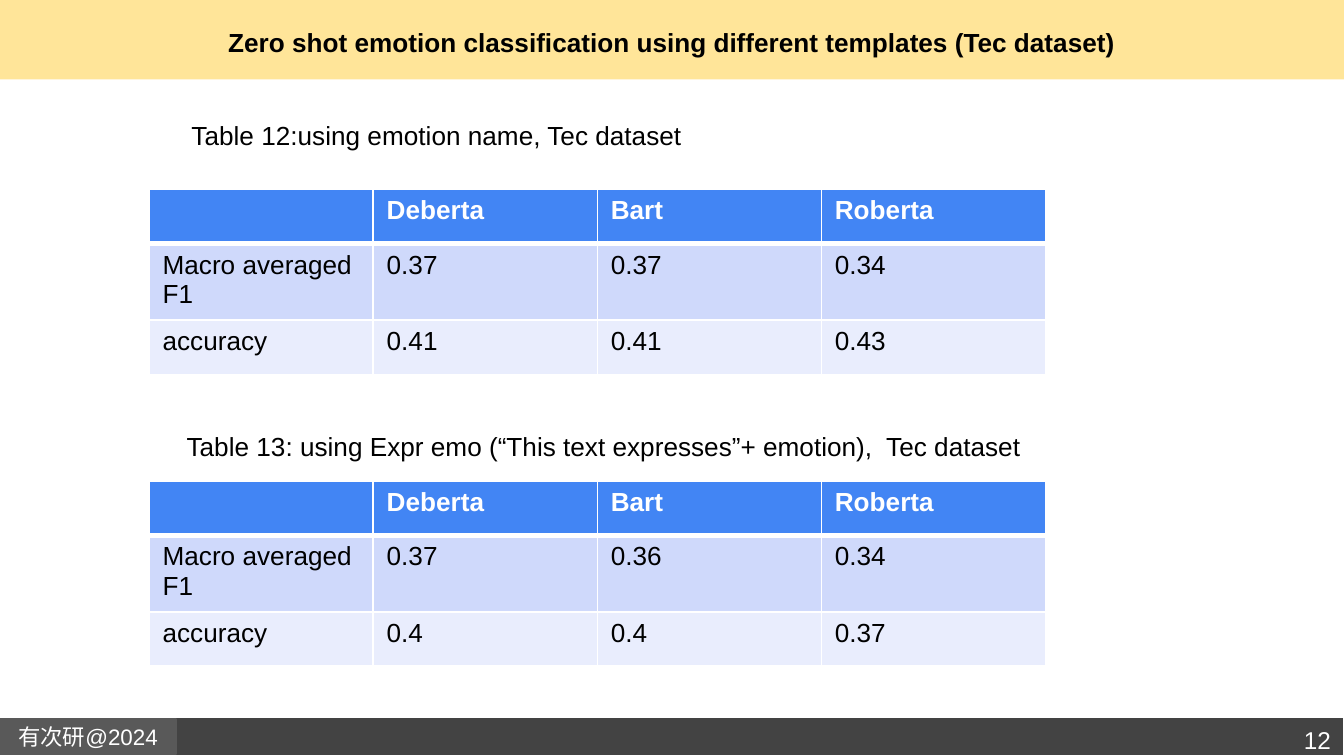
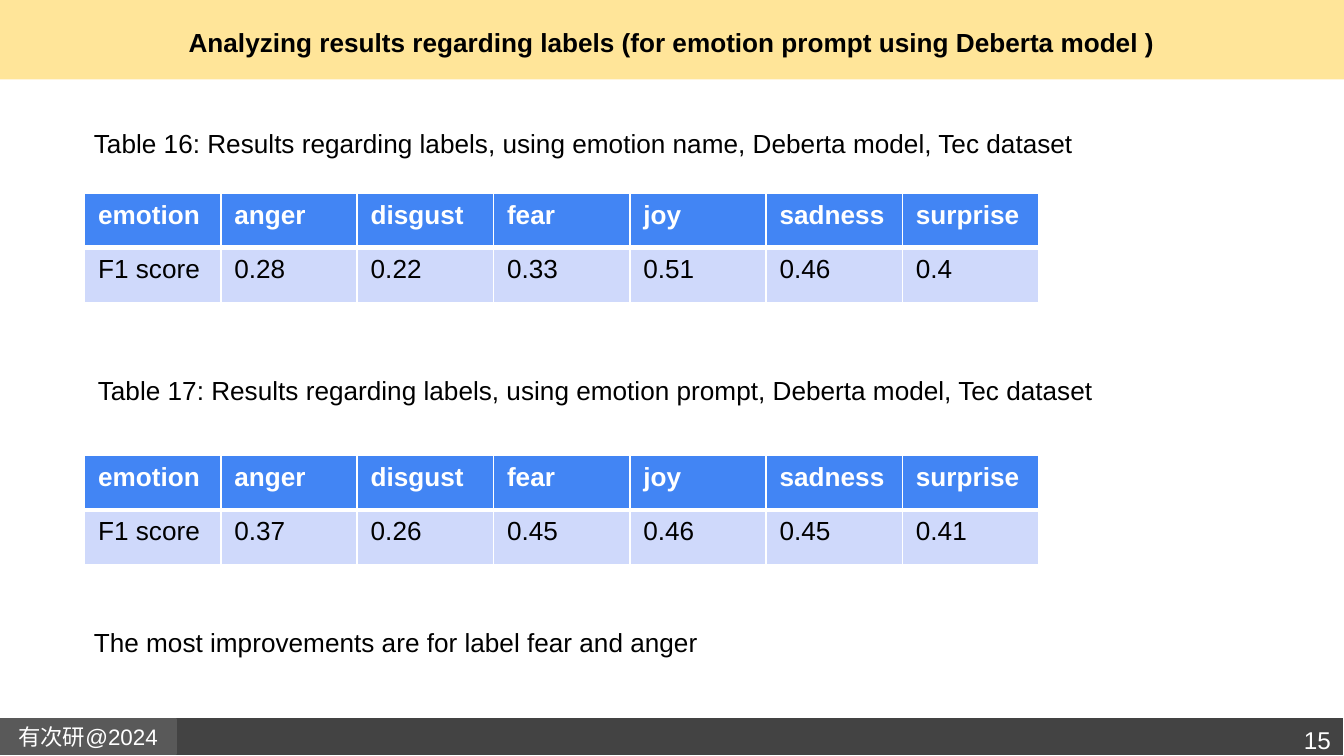
from dataclasses import dataclass

from lxml.etree import SubElement
from pptx import Presentation
from pptx.dml.color import RGBColor
from pptx.enum.shapes import MSO_SHAPE as Preset
from pptx.enum.text import MSO_ANCHOR as Anchor
from pptx.enum.text import MSO_AUTO_SIZE as AutoSize
from pptx.enum.text import PP_ALIGN as Align
from pptx.oxml.ns import qn
from pptx.shapes.shapetree import SlideShapes
from pptx.util import Inches, Pt


@dataclass(frozen=True)
class Theme:
    font: str = "Arial"
    title_band: str = "FFE599"
    footer_band: str = "434343"
    footer_tab: str = "595959"
    header: str = "4285F4"
    stripes: tuple = ("CFD9FB", "E9EDFD")
    dark: str = "000000"
    light: str = "FFFFFF"
    text_size: float = 14
    number_size: float = 13
    tab_size: float = 12
    thin: float = 1
    thick: float = 3


THEME = Theme()
PAGE_WIDTH = Inches(10)
PAGE_HEIGHT = PAGE_WIDTH * 9 // 16
ROW_HEIGHT = 0.81 / 2
MODELS = ["", "Deberta", "Bart", "Roberta"]
EMOTIONS = ["emotion", "anger", "disgust", "fear", "joy", "sadness", "surprise"]


def inches(box):
    return [Inches(value) for value in box]


def set_all(target, formats):
    for name, value in formats.items():
        setattr(target, name, value)


def write(frame, text, size=THEME.text_size, color=THEME.dark, bold=False, align=None):
    para = frame.paragraphs[0]
    para.alignment = align
    span = para.add_run()
    span.text = text
    set_all(span.font, {"name": THEME.font, "size": Pt(size), "bold": bold})
    span.font.color.rgb = RGBColor.from_string(color)


def pad(frame, **formats):
    """Give a text frame equal insets and any further formats."""
    sides = ("left", "top", "right", "bottom")
    set_all(frame, {f"margin_{side}": Inches(0.1) for side in sides} | formats)


def add_band(shapes, box, fill, line=None):
    band = shapes.add_shape(Preset.RECTANGLE, *inches(box))
    band.shadow.inherit = False
    band.fill.solid()
    band.fill.fore_color.rgb = RGBColor.from_string(fill)
    if line:
        band.line.color.rgb = RGBColor.from_string(line)
        band.line.width = Pt(0.75)
    else:
        band.line.fill.background()
    return band


def prepare_layout(layout):
    """Replace the layout's footer placeholders with the shared bands."""
    for holder in list(layout.placeholders)[1:]:
        layout.shapes.element.remove(holder.element)
    shapes = SlideShapes(layout.shapes.element, layout)
    add_band(shapes, (0, 0, 10, 0.59), THEME.title_band)
    add_band(shapes, (0, 5.34, 10, 0.28), THEME.footer_band, THEME.light)
    tab = add_band(shapes, (0, 5.35, 1.31, 0.26), THEME.footer_tab, THEME.footer_tab)
    pad(tab.text_frame, vertical_anchor=Anchor.MIDDLE)
    write(tab.text_frame, "有次研@2024", THEME.tab_size, THEME.light, align=Align.CENTER)


def add_page(deck, layout, title, number):
    page = deck.slides.add_slide(layout)
    heading = page.shapes.title
    set_all(heading, dict(zip(("left", "top", "width", "height"),
                              inches((0.34, 0, 9.32, 0.63)))))
    pad(heading.text_frame, vertical_anchor=Anchor.MIDDLE, word_wrap=True,
        auto_size=AutoSize.NONE)
    write(heading.text_frame, title, bold=True, align=Align.CENTER)

    page_number = page.shapes.add_textbox(*inches((8.95, 5.3, 1.05, 0.37)))
    pad(page_number.text_frame, word_wrap=True)
    write(page_number.text_frame, str(number), THEME.number_size, THEME.light,
          align=Align.RIGHT)
    return page


def add_caption(page, box, text, wrap=False, align=Align.LEFT):
    frame = page.shapes.add_textbox(*inches(box)).text_frame
    set_all(frame, {"word_wrap": wrap, "auto_size": AutoSize.SHAPE_TO_FIT_TEXT})
    write(frame, text, align=align)


def add_borders(cell, bottom):
    """Draw white cell borders; call before the fill, which must follow them."""
    properties = cell._tc.get_or_add_tcPr()
    widths = {"L": THEME.thin, "R": THEME.thin, "T": THEME.thin, "B": bottom}
    for side, width in widths.items():
        line = SubElement(properties, qn(f"a:ln{side}"), w=str(Pt(width)))
        fill = SubElement(line, qn("a:solidFill"))
        SubElement(fill, qn("a:srgbClr"), val=THEME.light)


def add_results(page, box, rows):
    """Place a table with a header row at box = (left, top, width)."""
    left, top, width = box
    area = inches((left, top, width, ROW_HEIGHT * len(rows)))
    table = page.shapes.add_table(len(rows), len(rows[0]), *area).table
    for column in table.columns:
        column.width = Inches(width / len(rows[0]))
    for r, values in enumerate(rows):
        table.rows[r].height = Inches(ROW_HEIGHT)
        is_header = r == 0
        fill = THEME.header if is_header else THEME.stripes[(r - 1) % 2]
        for c, value in enumerate(values):
            cell = table.cell(r, c)
            add_borders(cell, THEME.thick if is_header else THEME.thin)
            cell.fill.solid()
            cell.fill.fore_color.rgb = RGBColor.from_string(fill)
            if value:
                write(cell.text_frame, value, bold=is_header,
                      color=THEME.light if is_header else THEME.dark)


def add_template_page(deck, layout):
    page = add_page(
        deck, layout,
        "Zero shot emotion classification using different templates (Tec dataset)", 12)
    add_caption(page, (1, 0.84, 4.5, 0.57), "Table 12:using emotion name, Tec dataset",
                wrap=True, align=Align.CENTER)
    add_results(page, (1.11, 1.41, 6.67), [
        MODELS,
        ["Macro averaged F1", "0.37", "0.37", "0.34"],
        ["accuracy", "0.41", "0.41", "0.43"],
    ])
    add_caption(page, (1.29, 3.15, 6.54, 0.57),
                "Table 13: using Expr emo (“This text expresses”+ emotion),  Tec dataset")
    add_results(page, (1.11, 3.58, 6.67), [
        MODELS,
        ["Macro averaged F1", "0.37", "0.36", "0.34"],
        ["accuracy", "0.4", "0.4", "0.37"],
    ])


def add_label_page(deck, layout):
    page = add_page(
        deck, layout,
        "Analyzing results regarding labels (for emotion prompt using Deberta model )", 15)
    add_caption(page, (0.6, 0.9, 7.51, 0.34),
                "Table 16: Results regarding labels, using emotion name, "
                "Deberta model, Tec dataset")
    add_results(page, (0.63, 1.44, 7.1), [
        EMOTIONS,
        ["F1 score", "0.28", "0.22", "0.33", "0.51", "0.46", "0.4"],
    ])
    add_caption(page, (0.63, 2.74, 7.63, 0.34),
                "Table 17: Results regarding labels, using emotion prompt, "
                "Deberta model, Tec dataset")
    add_results(page, (0.63, 3.39, 7.1), [
        EMOTIONS,
        ["F1 score", "0.37", "0.26", "0.45", "0.46", "0.45", "0.41"],
    ])
    add_caption(page, (0.6, 4.61, 4.71, 0.34),
                "The most improvements are for label fear and anger")


def main():
    deck = Presentation()
    set_all(deck, {"slide_width": PAGE_WIDTH, "slide_height": PAGE_HEIGHT})
    layout = deck.slide_layouts.get_by_name("Title Only")
    prepare_layout(layout)
    add_template_page(deck, layout)
    add_label_page(deck, layout)
    deck.save("out.pptx")


if __name__ == "__main__":
    main()
